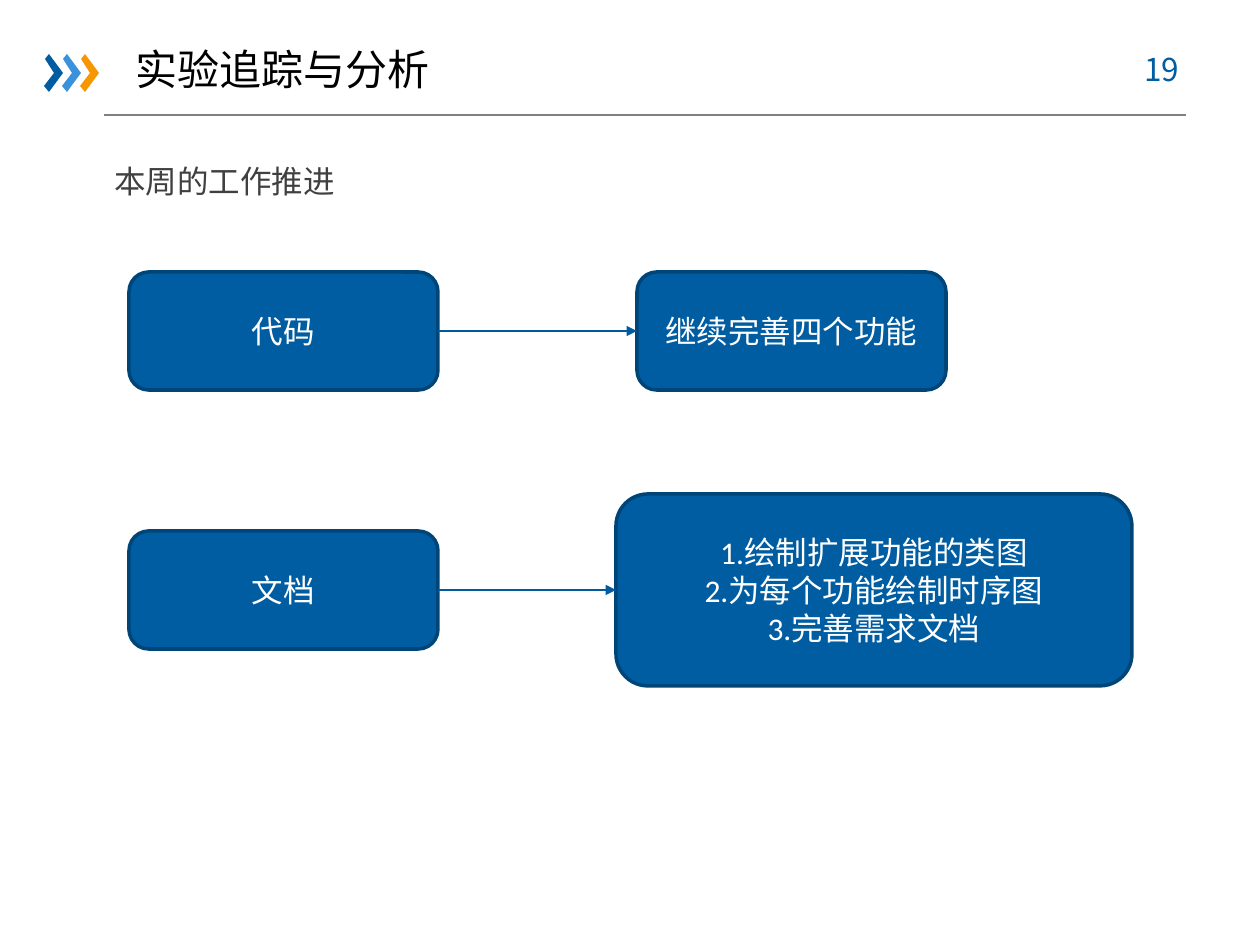
from lxml.etree import SubElement
from pptx import Presentation
from pptx.dml.color import RGBColor
from pptx.enum.shapes import MSO_CONNECTOR as Link, MSO_SHAPE as Kind
from pptx.enum.text import MSO_ANCHOR as Anchor, PP_ALIGN as Align
from pptx.oxml.ns import qn
from pptx.util import Pt

# Content
TITLE = "实验追踪与分析"
LEAD = "本周的工作推进"
PAGE = "19"
# Each row: middle y, source label, target lines, target (x, width, height)
ROWS = [
    (331, "代码", ["继续完善四个功能"], (637, 309, 118)),
    (590, "文档", ["1.绘制扩展功能的类图", "2.为每个功能绘制时序图", "3.完善需求文档"],
     (616, 516, 192)),
]
SOURCE = (129, 309, 118)
HEX = {"blue": "005DA2", "sky": "3992DB", "gold": "F79600", "edge": "004578",
       "arrow": "005B9E", "rule": "808080", "ink": "000000", "soft": "404040",
       "white": "FFFFFF"}
CJK, LATIN = "Noto Sans CJK SC", "Calibri"
# Chevron outline and the left edge of each copy
CHEVRON = [(1, 5), (5, 0), (19, 19), (5, 38), (0, 32), (10, 19)]
MARKS = [(44, "blue"), (62, "sky"), (80, "gold")]
MARK_TOP = 54

PX = 914400 // 126


def px(*vals):
    return [v * PX for v in vals]


def color(name):
    return RGBColor.from_string(HEX[name])


def write(frame, lines, size, tint, face, align, anchor=Anchor.TOP, wrap=True):
    frame.text = "\n".join(lines)
    frame.word_wrap = wrap
    frame.vertical_anchor = anchor
    for para in frame.paragraphs:
        para.alignment = align
        for run in para.runs:
            font = run.font
            font.size, font.name = Pt(size), face
            font.color.rgb = color(tint)
            if face == CJK:
                SubElement(font._element, qn("a:ea"), typeface=face)


def line(x1, y1, x2, y2, tint, arrow=False):
    link = slide.shapes.add_connector(Link.STRAIGHT, *px(x1, y1, x2, y2))
    link.line.color.rgb = color(tint)
    link.line.width = Pt(0.75)
    if arrow:
        SubElement(link.line._get_or_add_ln(), qn("a:tailEnd"), type="triangle")
    SubElement(link._element.spPr, qn("a:effectLst"))


def box(x, w, h, mid, lines):
    card = slide.shapes.add_shape(Kind.ROUNDED_RECTANGLE, *px(x, mid - h // 2, w, h))
    card.shadow.inherit = False
    card.fill.solid()
    card.fill.fore_color.rgb = color("blue")
    card.line.color.rgb = color("edge")
    card.line.width = Pt(2)
    write(card.text_frame, lines, 18, "white", LATIN, Align.CENTER, Anchor.MIDDLE)


deck = Presentation()
deck.slide_width, deck.slide_height = px(1260, 945)
slide = deck.slides.add_slide(deck.slide_layouts[5])

# Header: title, rule, chevrons, page number
title = slide.shapes.title
title.left, title.top, title.width, title.height = px(122, 37, 322, 63)
write(title.text_frame, [TITLE], 24, "ink", CJK, Align.CENTER, wrap=False)
line(104, 115, 1186, 115, "rule")
for left, tint in MARKS:
    pts = [(left + x, MARK_TOP + y) for x, y in CHEVRON]
    pen = slide.shapes.build_freeform(*pts[0], scale=PX)
    pen.add_line_segments(pts[1:], close=True)
    mark = pen.convert_to_shape()
    mark.shadow.inherit = False
    mark.fill.solid()
    mark.fill.fore_color.rgb = color(tint)
    mark.line.fill.background()

# Page number and lead line
for spot, text, tint, align in [
    ((1116, 44, 92, 50), PAGE, "blue", Align.CENTER),
    ((102, 156, 397, 50), LEAD, "soft", Align.LEFT),
]:
    note = slide.shapes.add_textbox(*px(*spot))
    write(note.text_frame, [text], 18, tint, CJK, align)

# Work rows: source box, arrow, target box
for mid, label, lines, target in ROWS:
    box(*SOURCE, mid, [label])
    box(*target, mid, lines)
    line(SOURCE[0] + SOURCE[1], mid, target[0], mid, "arrow", arrow=True)

deck.save("out.pptx")
